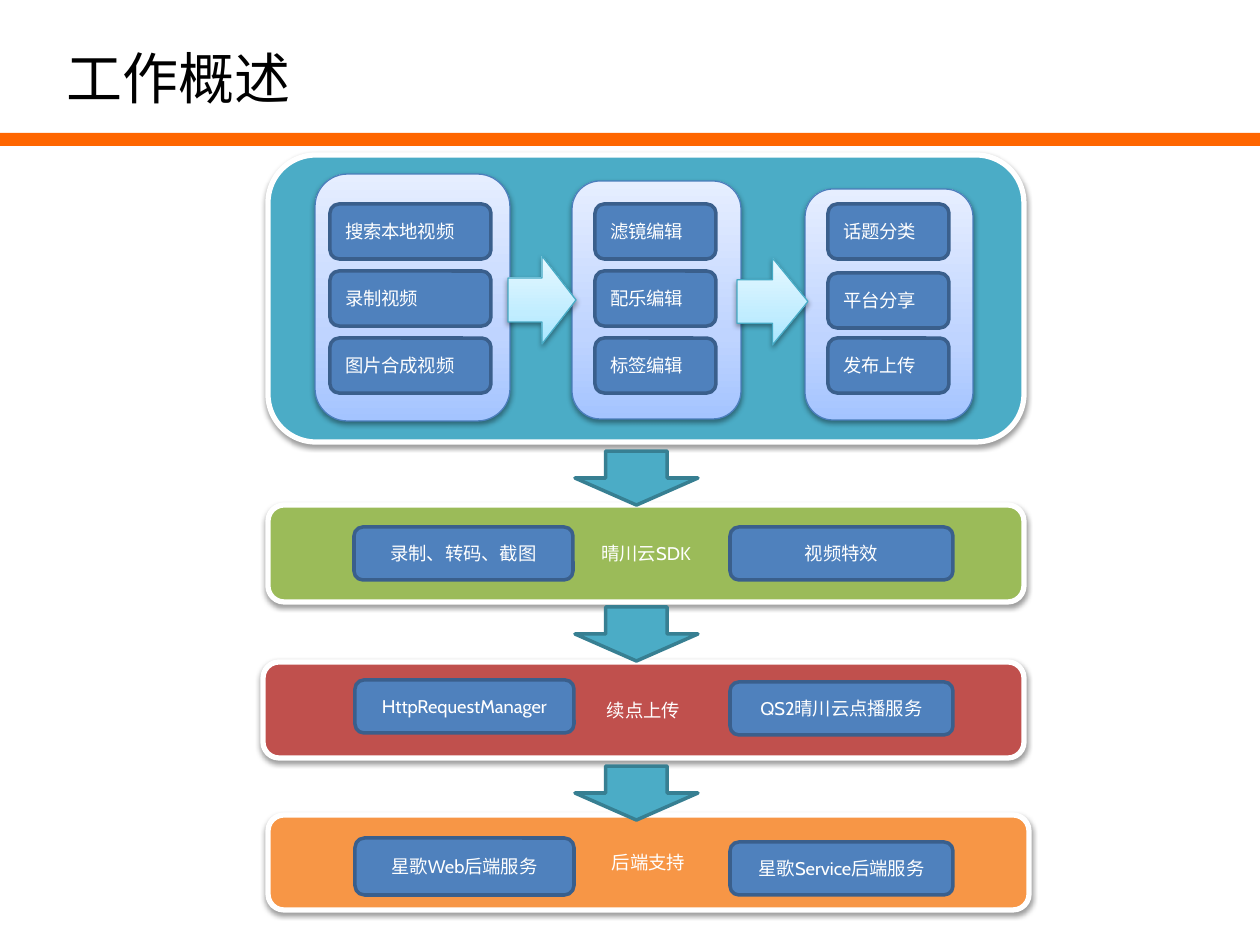
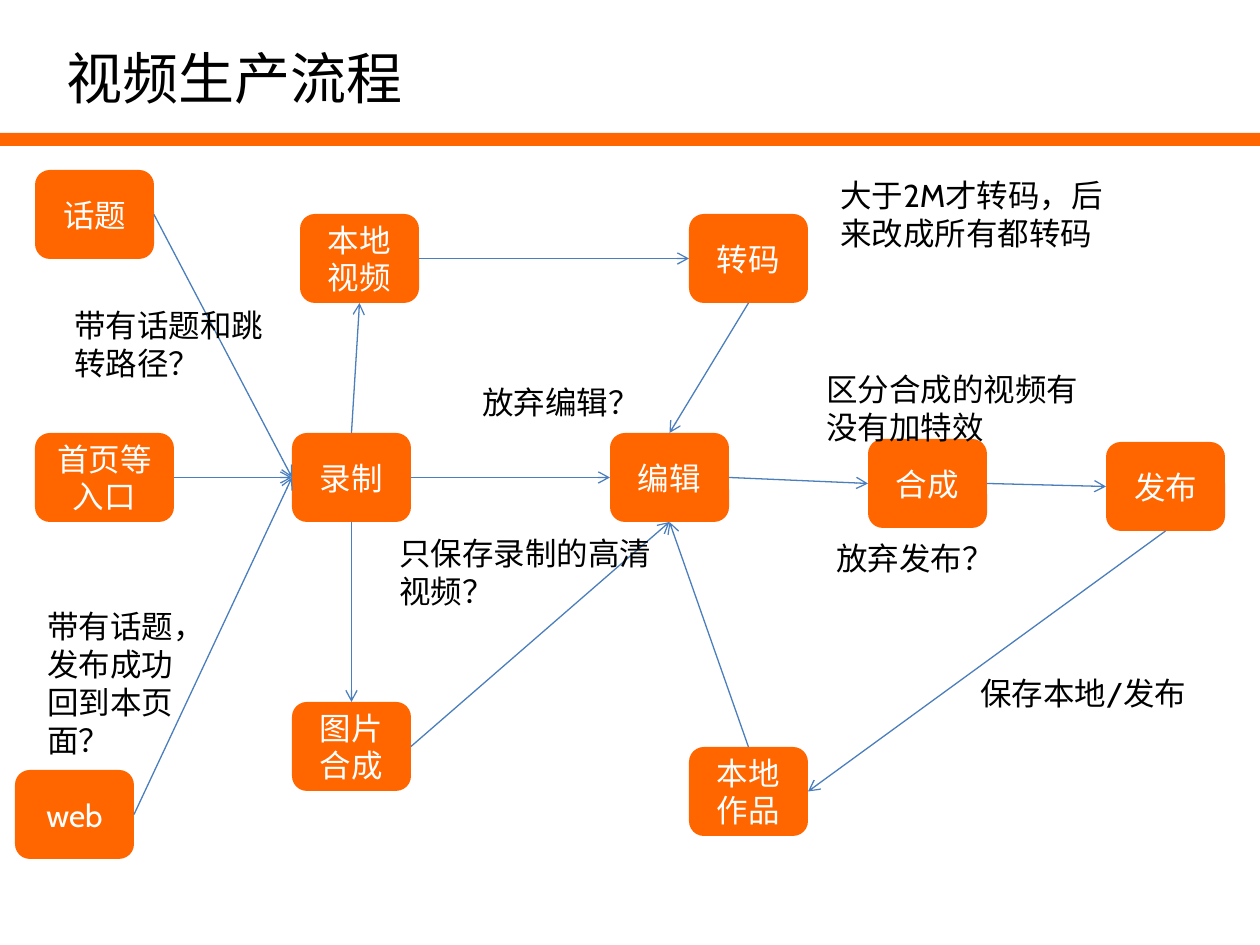
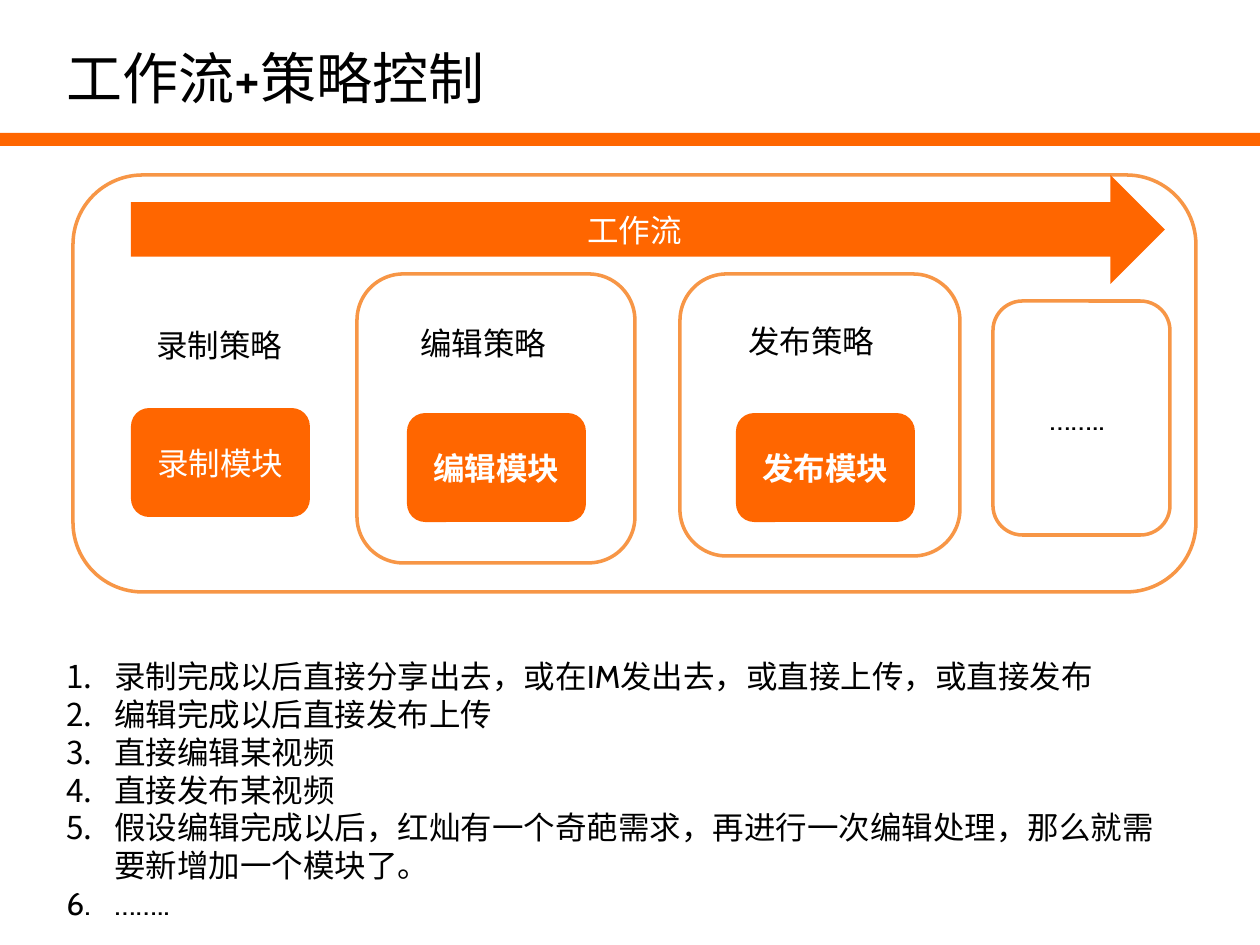
"""Build three slides on a video app: overview, production flow and workflow control."""
from dataclasses import dataclass

from lxml import etree
from pptx import Presentation
from pptx import util as u
from pptx.dml import color
from pptx.enum import shapes, text
from pptx.oxml import ns

EMU_PER_PIXEL = 914400 / 126
KIND = shapes.MSO_SHAPE
ALIGN = text.PP_ALIGN
TOP, LEFT, BOTTOM, RIGHT = range(4)


@dataclass(frozen=True)
class Theme:
    font: str = "Cabin"
    title: float = 32
    body: float = 18
    small: float = 10.5
    ink: str = "000000"
    paper: str = "FFFFFF"
    accent: str = "FF6600"
    outline: str = "F79646"
    teal: str = "4BACC6"
    teal_edge: str = "377F92"
    green: str = "9BBB59"
    red: str = "C0504D"
    blue: str = "4F81BD"
    blue_edge: str = "3A5F8C"
    rule: str = "4B7EBC"
    ice_edge: str = "46AAC5"
    panel: tuple = ("A4C4FF", "BFD4FF", "E6EEFF")
    ice: tuple = ("A7E6FF", "C1EDFF", "E7F8FF")
    stops: tuple = (0, 35, 100)


THEME = Theme()

BAND = (0, 133, 1260, 13)
TITLE = (54, 37, 605, 81)

STAGE = (268, 155, 756, 287)
STEP_HEIGHT = 55
STAGE_COLUMNS = [
    ((315, 174, 195, 247), 330, 161, [("搜索本地视频", 204), ("录制视频", 271), ("图片合成视频", 338)]),
    ((572, 181, 169, 238), 595, 121, [("滤镜编辑", 204), ("配乐编辑", 271), ("标签编辑", 338)]),
    ((805, 189, 168, 231), 828, 121, [("话题分类", 204), ("平台分享", 273), ("发布上传", 338)]),
]
STAGE_ARROWS = [(508, 256, 68, 88), (737, 258, 71, 87)]
TIERS = [
    ("晴川云SDK", THEME.green, (268, 505, 756, 97),
     [("录制、转码、截图", (354, 527, 219, 53)), ("视频特效", (730, 527, 223, 53))]),
    ("续点上传", THEME.red, (263, 662, 761, 96),
     [("HttpRequestManager", (355, 680, 219, 53)), ("QS2晴川云点播服务", (730, 682, 223, 53))]),
    ("后端支持", THEME.outline, (268, 815, 761, 95),
     [("星歌Web后端服务", (355, 838, 219, 57)), ("星歌Service后端服务", (730, 842, 223, 53))]),
]
DOWN_ARROW_TOPS = (451, 607, 766)

NODE_WIDTH, NODE_HEIGHT = 119, 89
NODES = {
    "录制": (292, 433),
    "本地视频": (300, 214),
    "发布": (1106, 442),
    "编辑": (610, 433),
    "图片合成": (292, 702),
    "本地作品": (689, 747),
    "转码": (689, 214),
    "话题": (35, 170),
    "web": (15, 770),
    "首页等入口": (35, 433),
    "合成": (868, 439),
}
NODE_WIDTHS = {"首页等入口": 139}
LINKS = [
    ("录制", TOP, "本地视频", BOTTOM),
    ("录制", RIGHT, "编辑", LEFT),
    ("本地视频", RIGHT, "转码", LEFT),
    ("转码", BOTTOM, "编辑", TOP),
    ("录制", BOTTOM, "图片合成", TOP),
    ("图片合成", RIGHT, "编辑", BOTTOM),
    ("本地作品", TOP, "编辑", BOTTOM),
    ("话题", RIGHT, "录制", LEFT),
    ("首页等入口", RIGHT, "录制", LEFT),
    ("web", RIGHT, "录制", LEFT),
    ("发布", BOTTOM, "本地作品", RIGHT),
    ("编辑", RIGHT, "合成", LEFT),
    ("合成", RIGHT, "发布", LEFT),
]
REMARKS = [
    ("大于2M才转码，后来改成所有都转码", (828, 170, 307, 89)),
    ("带有话题和跳转路径？", (62, 300, 232, 89)),
    ("带有话题，发布成功回到本页面？", (35, 601, 179, 165)),
    ("放弃编辑？", (470, 377, 200, 50)),
    ("区分合成的视频有没有加特效", (814, 364, 307, 89)),
    ("保存本地/发布", (968, 668, 238, 50)),
    ("放弃发布？", (824, 533, 200, 50)),
    ("只保存录制的高清视频？", (387, 528, 307, 89)),
]

FRAMES = [(73, 175, 1123, 417), (357, 274, 278, 289), (680, 274, 280, 282), (993, 301, 177, 234)]
MODULE_WIDTH, MODULE_HEIGHT = 179, 109
MODULES = [("录制模块", 131, 408, False), ("编辑模块", 407, 413, True), ("发布模块", 736, 413, True)]
STRATEGIES = [
    ("录制策略", (144, 320, 179, 50)),
    ("编辑策略", (408, 318, 178, 50)),
    ("发布策略", (736, 316, 169, 50)),
    ("……..", (1037, 393, 134, 50)),
]
WORKFLOW = ("工作流", (131, 175, 1034, 109))
CASES = [
    "录制完成以后直接分享出去，或在IM发出去，或直接上传，或直接发布",
    "编辑完成以后直接发布上传",
    "直接编辑某视频",
    "直接发布某视频",
    "假设编辑完成以后，红灿有一个奇葩需求，再进行一次编辑处理，那么就需要新增加一个模块了。",
    "……..",
]
CASES_AREA = (54, 651, 1142, 280)
CASE_INDENT = 48


def px(pixels):
    return u.Emu(round(pixels * EMU_PER_PIXEL))


def scaled(area):
    return [px(side) for side in area]


def rgb(value):
    return color.RGBColor.from_string(value)


def add_xml(parent, tag, **attributes):
    return etree.SubElement(parent, ns.qn(tag), attributes)


def add_solid(parent, tag, value):
    return add_xml(add_xml(parent, tag), "a:srgbClr", val=value)


def write(para, words, size, ink, bold=False):
    span = para.add_run()
    span.text = words
    span.font.name = THEME.font
    span.font.size = u.Pt(size)
    span.font.color.rgb = rgb(ink)
    if bold:
        span.font.bold = True


def paint(box, fill):
    if isinstance(fill, str):
        box.fill.solid()
        box.fill.fore_color.rgb = rgb(fill)
        return
    box.fill.gradient()
    box.fill.gradient_angle = 90
    stops = box.element.spPr.find(ns.qn("a:gradFill")).find(ns.qn("a:gsLst"))
    stops.clear()
    for place, value in zip(THEME.stops, fill):
        stop = add_xml(stops, "a:gs", pos=str(place * 1000))
        add_xml(stop, "a:srgbClr", val=value)


def cast_shadow(box):
    effects = box.element.spPr.find(ns.qn("a:effectLst"))
    shade = add_xml(effects, "a:outerShdw", blurRad=str(u.Pt(3.1)), dist=str(u.Pt(1.6)),
                    dir="5400000", rotWithShape="0")
    tint = add_xml(shade, "a:srgbClr", val=THEME.ink)
    add_xml(tint, "a:alpha", val="38000")


def add_box(page, area, fill, edge=None, weight=2, kind=KIND.ROUNDED_RECTANGLE, words="",
            size=THEME.body, align=ALIGN.CENTER, bold=False, shadow=False):
    box = page.shapes.add_shape(kind, *scaled(area))
    box.shadow.inherit = False
    paint(box, fill)
    if edge:
        box.line.color.rgb = rgb(edge)
        box.line.width = u.Pt(weight)
    else:
        box.line.fill.background()
    if shadow:
        cast_shadow(box)
    if words:
        frame = box.text_frame
        frame.word_wrap = True
        frame.vertical_anchor = text.MSO_ANCHOR.MIDDLE
        para = frame.paragraphs[0]
        para.alignment = align
        write(para, words, size, THEME.paper, bold)
    return box


def add_text(page, area, lines, size=THEME.body):
    frame = page.shapes.add_textbox(*scaled(area)).text_frame
    frame.word_wrap = True
    frame.auto_size = text.MSO_AUTO_SIZE.SHAPE_TO_FIT_TEXT
    for index, words in enumerate(lines):
        para = frame.add_paragraph() if index else frame.paragraphs[0]
        write(para, words, size, THEME.ink)
    return frame


def add_link(page, start, start_site, end, end_site):
    link = page.shapes.add_connector(shapes.MSO_CONNECTOR.STRAIGHT, 0, 0, 0, 0)
    link.begin_connect(start, start_site)
    link.end_connect(end, end_site)
    link.line.color.rgb = rgb(THEME.rule)
    link.line.width = u.Pt(0.75)
    outline = link.element.spPr.find(ns.qn("a:ln"))
    add_xml(outline, "a:tailEnd", type="arrow")
    add_xml(link.element.spPr, "a:effectLst")


def add_page(deck, layout, title):
    page = deck.slides.add_slide(layout)
    add_text(page, TITLE, [title], THEME.title)
    return page


def add_chip(page, area, words, align=ALIGN.CENTER):
    add_box(page, area, THEME.blue, THEME.blue_edge, words=words, size=THEME.small, align=align)


def build_overview(page):
    add_box(page, STAGE, THEME.teal, THEME.paper, 3, shadow=True)
    for panel, left, width, steps in STAGE_COLUMNS:
        add_box(page, panel, THEME.panel, THEME.rule, 0.75, shadow=True)
        for words, top in steps:
            add_chip(page, (left, top, width, STEP_HEIGHT), words, ALIGN.JUSTIFY)
    for area in STAGE_ARROWS:
        add_box(page, area, THEME.ice, THEME.ice_edge, 0.75, KIND.RIGHT_ARROW, shadow=True)
    for name, fill, area, services in TIERS:
        add_box(page, area, fill, THEME.paper, 3, words=name, size=THEME.small, shadow=True)
        for words, place in services:
            add_chip(page, place, words)
    for top in DOWN_ARROW_TOPS:
        add_box(page, (575, top, 123, 54), THEME.teal, THEME.teal_edge, kind=KIND.DOWN_ARROW)


def build_flow(page):
    nodes = {}
    for name, (left, top) in NODES.items():
        area = (left, top, NODE_WIDTHS.get(name, NODE_WIDTH), NODE_HEIGHT)
        nodes[name] = add_box(page, area, THEME.accent, words=name)
    for start, start_site, end, end_site in LINKS:
        add_link(page, nodes[start], start_site, nodes[end], end_site)
    for words, area in REMARKS:
        add_text(page, area, [words])


def build_control(page):
    for area in FRAMES:
        add_box(page, area, THEME.paper, THEME.outline)
    for words, left, top, bold in MODULES:
        add_box(page, (left, top, MODULE_WIDTH, MODULE_HEIGHT), THEME.accent, words=words, bold=bold)
    for words, area in STRATEGIES:
        add_text(page, area, [words])
    words, area = WORKFLOW
    add_box(page, area, THEME.accent, kind=KIND.RIGHT_ARROW, words=words)
    for para in add_text(page, CASES_AREA, CASES).paragraphs:
        settings = para._p.get_or_add_pPr()
        settings.set("marL", str(px(CASE_INDENT)))
        settings.set("indent", str(px(-CASE_INDENT)))
        add_xml(settings, "a:buAutoNum", type="arabicPeriod")


PAGES = [("工作概述", build_overview), ("视频生产流程", build_flow), ("工作流+策略控制", build_control)]


def main():
    deck = Presentation()
    deck.slide_width, deck.slide_height = px(1260), px(945)
    layout = deck.slide_layouts[6]
    for index, (title, build) in enumerate(PAGES):
        page = add_page(deck, layout, title)
        if index == 0:
            band = add_box(page, BAND, THEME.accent, kind=KIND.RECTANGLE)
            layout.shapes.element.append(band.element)
        build(page)
    deck.save("out.pptx")


main()
